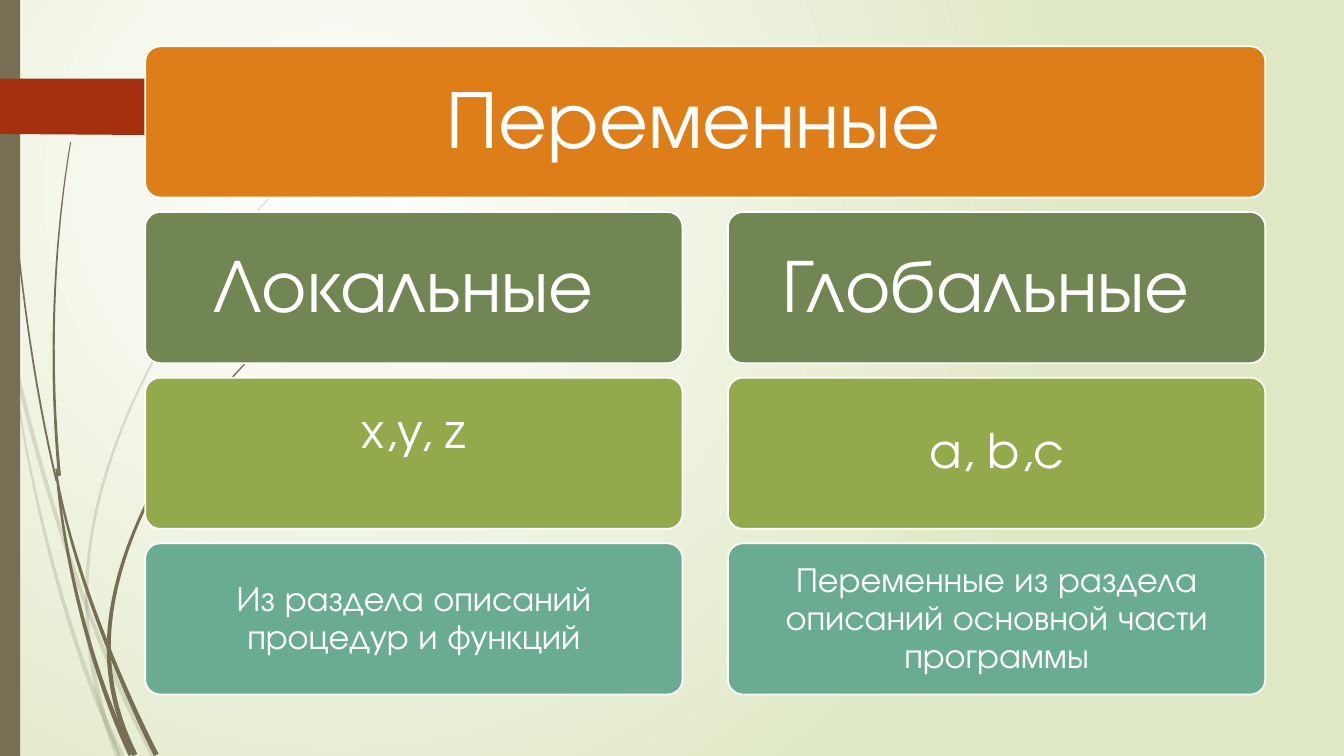
from math import hypot

from lxml import etree
from pptx import Presentation
from pptx.dml.color import RGBColor
from pptx.enum.shapes import MSO_SHAPE as Shape
from pptx.enum.text import MSO_ANCHOR as Anchor, PP_ALIGN as Align
from pptx.oxml.ns import qn
from pptx.util import Pt

PX = 9144
WIDTH, HEIGHT = 1333, 750
FONT = "TeX Gyre Adventor"
COLORS = {
    "white": "FFFFFF", "edge": "DFE8C4", "stem": "766F54", "arrow": "A53010",
    "title": "DE7E18", "kind": "728653", "names": "92AA4C", "origin": "6AAC91",
}
TITLE = "Переменные "
COLUMNS = [
    ("Локальные ", "x,y, z", "Из раздела описаний процедур и функций"),
    ("Глобальные ", "a, b,c", "Переменные из раздела описаний основной части программы"),
]
ROW_STYLES = [("title", 59, 29), ("kind", 54, 27), ("names", 34, 18), ("origin", 25, 14)]
RAISED_TEXT, RAISED_INSET = "x,y, z", 58

LEFT, TOP, RIGHT, BOTTOM = 144, 46, 1255, 689
BOX_WIDTH, BOX_HEIGHT = 533, 150
ROW_STEP = (BOTTOM - TOP - BOX_HEIGHT) / (len(ROW_STYLES) - 1)
COLUMN_STEP = RIGHT - LEFT - BOX_WIDTH

ARROW = [(0, 78), (148, 78), (174, 106), (148, 134), (0, 133)]

PALE_GRASS = [
    ([(0, 290), (20, 400), (75, 610), (152, 750)], 4, 4),
    ([(12, 350), (20, 440), (62, 635), (121, 750)], 1, 5),
    ([(312, 153), (200, 250), (88, 430), (86, 585)], 1, 3),
    ([(86, 585), (85, 640), (95, 695), (117, 750)], 3, 5),
]
DARK_GRASS = [
    ([(3, 0), (5, 150), (22, 335), (56, 477)], 1, 2),
    ([(57, 477), (72, 560), (115, 670), (155, 749)], 2, 5),
    ([(56, 465), (63, 555), (92, 670), (130, 749)], 2, 5),
    ([(70, 141), (50, 260), (50, 380), (59, 472)], 1, 3),
    ([(260, 344), (185, 415), (112, 530), (108, 635)], 1, 4),
    ([(108, 635), (107, 675), (116, 713), (134, 749)], 4, 5),
]


def px(length):
    return round(length * PX)


def paint(shape, color):
    shape.shadow.inherit = False
    shape.fill.solid()
    shape.fill.fore_color.rgb = RGBColor.from_string(COLORS[color])
    shape.line.fill.background()


def add_outline(shapes, points, color):
    points = [(px(x), px(y)) for x, y in points]
    builder = shapes.build_freeform(*points[0])
    builder.add_line_segments(points[1:], close=True)
    shape = builder.convert_to_shape()
    paint(shape, color)
    return shape


def mix(start, end, t):
    return tuple(a + (b - a) * t for a, b in zip(start, end))


def blade_outline(controls, start_width, end_width, steps=24):
    one_side, other_side = [], []
    for step in range(steps + 1):
        t = step / steps
        points = controls
        while len(points) > 2:
            points = [mix(a, b, t) for a, b in zip(points, points[1:])]
        x, y = mix(*points, t)
        run, rise = (b - a for a, b in zip(*points))
        half = (start_width + (end_width - start_width) * t) / 2 / hypot(run, rise)
        one_side.append((x - rise * half, y + run * half))
        other_side.append((x + rise * half, y - run * half))
    return one_side + other_side[::-1]


def add_grass(slide, blades, opacity):
    group = slide.shapes.add_group_shape()
    for blade in blades:
        shape = add_outline(group.shapes, blade_outline(*blade), "stem")
        if opacity < 100:
            color = next(shape._element.spPr.iter(qn("a:srgbClr")))
            etree.SubElement(color, qn("a:alpha"), val=str(opacity * 1000))


def add_box(slide, text, row, left, width):
    color, size, inset = ROW_STYLES[row]
    shape = slide.shapes.add_shape(Shape.ROUNDED_RECTANGLE, px(left), px(TOP + row * ROW_STEP),
                                   px(width), px(BOX_HEIGHT))
    shape.adjustments[0] = 0.1
    paint(shape, color)
    shape.line.color.rgb = RGBColor.from_string(COLORS["white"])
    shape.line.width = Pt(1.25)
    frame = shape.text_frame
    frame.word_wrap = True
    frame.vertical_anchor = Anchor.MIDDLE
    frame.margin_left = frame.margin_right = frame.margin_top = px(inset)
    frame.margin_bottom = px(RAISED_INSET if text == RAISED_TEXT else inset)
    paragraph = frame.paragraphs[0]
    paragraph.text = text
    paragraph.alignment = Align.CENTER
    paragraph.line_spacing = 0.9
    paragraph.font.name = FONT
    paragraph.font.size = Pt(size)
    paragraph.font.color.rgb = RGBColor.from_string(COLORS["white"])


def set_background(slide):
    fill = slide.background.fill
    fill.gradient()
    for stop, color in zip(fill.gradient_stops, ("white", "edge")):
        stop.color.rgb = RGBColor.from_string(COLORS[color])
    gradient = next(slide._element.iter(qn("a:gradFill")))
    gradient.remove(gradient.find(qn("a:lin")))
    glow = etree.SubElement(gradient, qn("a:path"), path="circle")
    etree.SubElement(glow, qn("a:fillToRect"), l="50000", t="50000", r="100000", b="100000")


def main():
    presentation = Presentation()
    presentation.slide_width, presentation.slide_height = px(WIDTH), px(HEIGHT)
    slide = presentation.slides.add_slide(presentation.slide_layouts[6])
    set_background(slide)
    add_grass(slide, PALE_GRASS, 20)
    add_grass(slide, DARK_GRASS, 100)
    paint(slide.shapes.add_shape(Shape.RECTANGLE, 0, 0, px(20), px(HEIGHT)), "stem")
    add_outline(slide.shapes, ARROW, "arrow")
    add_box(slide, TITLE, 0, LEFT, RIGHT - LEFT)
    for column, texts in enumerate(COLUMNS):
        for row, text in enumerate(texts, start=1):
            add_box(slide, text, row, LEFT + column * COLUMN_STEP, BOX_WIDTH)
    presentation.save("out.pptx")


if __name__ == "__main__":
    main()
